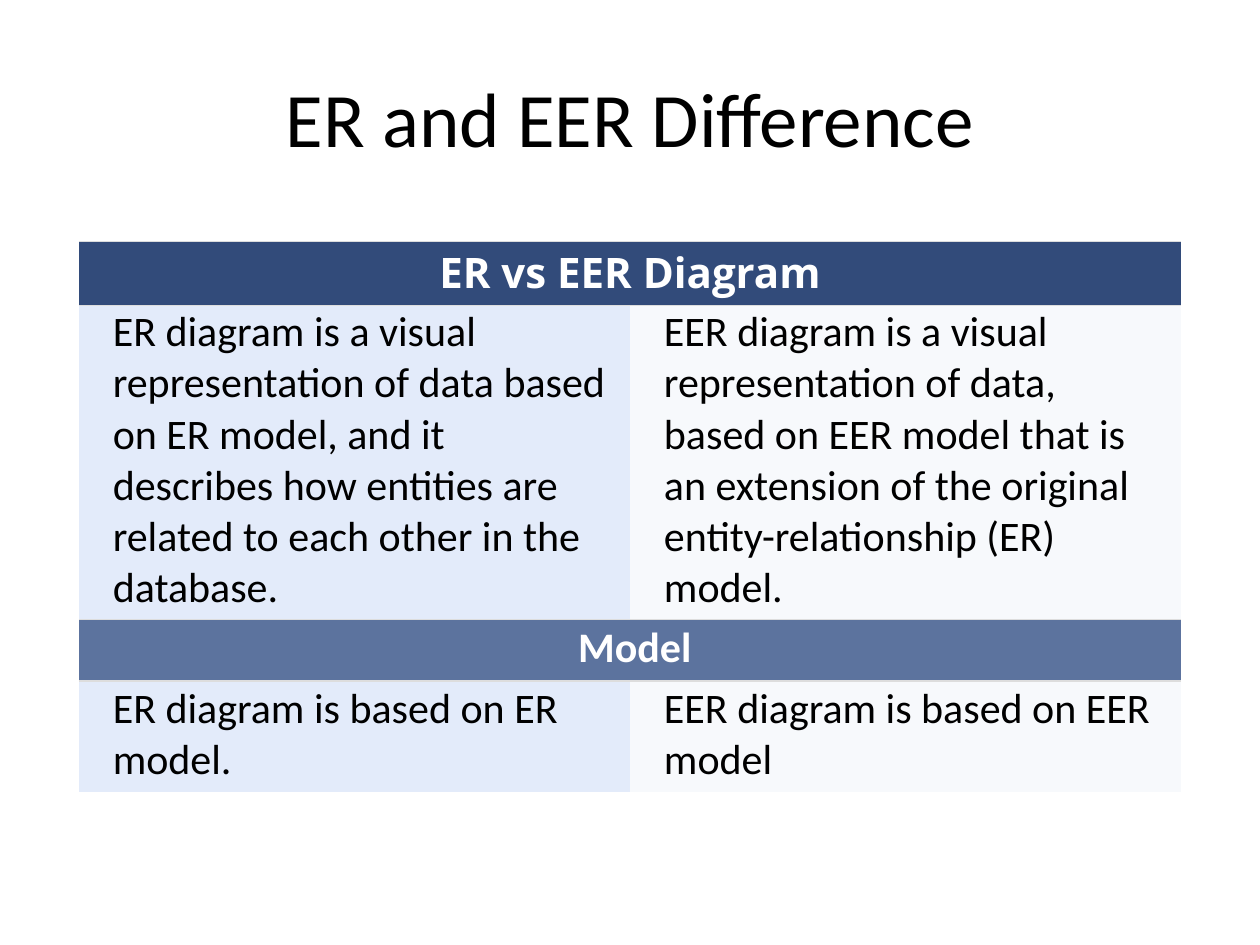
from lxml import etree
from pptx import Presentation
from pptx.dml.color import RGBColor
from pptx.enum.text import MSO_ANCHOR, PP_ALIGN
from pptx.oxml.ns import qn
from pptx.util import Inches, Pt

MIDDLE = MSO_ANCHOR.MIDDLE
CENTER, LEFT = PP_ALIGN.CENTER, PP_ALIGN.LEFT
BLACK, WHITE, GREY = "000000", "FFFFFF", "DDDDDD"
PALE, LIGHT = "E3EBFA", "F7F9FC"
WIDTH = 4.375
HEIGHTS = [0.49, 2.49, 0.49, 0.88]

HEADS = {
    0: ("ER vs EER Diagram", "324B7A", "Open Sans"),
    2: (" Model", "5C739E", "Calibri"),
}
PAIRS = {
    1: (
        "ER diagram is a visual representation of data based on ER model, "
        "and it describes how entities are related to each other in the database.",
        "EER diagram is a visual representation of data, based on EER model "
        "that is an extension of the original entity-relationship (ER) model.",
    ),
    3: ("ER diagram is based on ER model.", "EER diagram is based on EER model"),
}


def color(code):
    """Turn a hex string into a colour."""
    return RGBColor.from_string(code)


def style(para, size, face, code, bold, align):
    """Set the font and alignment of a paragraph."""
    para.alignment = align
    font = para.font
    font.size, font.name, font.bold = Pt(size), face, bold
    font.color.rgb = color(code)


def add_title(slide, text):
    """Fill and place the title."""
    title = slide.shapes.title
    title.left, title.top = Inches(0.5), Inches(0.3)
    title.width, title.height = Inches(9), Inches(1.25)
    frame = title.text_frame
    frame.text = text
    frame.vertical_anchor = MIDDLE
    style(frame.paragraphs[0], 44, "Calibri", BLACK, False, CENTER)


def set_edges(cell, shown):
    """Draw grey lines on the shown sides and none on the others."""
    props = cell._tc.get_or_add_tcPr()
    for side in "LRTB":
        line = etree.SubElement(props, qn(f"a:ln{side}"), w=str(Pt(0.75)))
        if side in shown:
            fill = etree.SubElement(line, qn("a:solidFill"))
            etree.SubElement(fill, qn("a:srgbClr"), val=GREY)
        else:
            etree.SubElement(line, qn("a:noFill"))


def fill_cell(cell, text, back, face, code, bold, align, left):
    """Write one cell with its fill, margins and font."""
    cell.fill.solid()
    cell.fill.fore_color.rgb = color(back)
    cell.vertical_anchor = MIDDLE
    cell.margin_left, cell.margin_right = Inches(left), Inches(0.18)
    cell.margin_top, cell.margin_bottom = Inches(0.01), Inches(0.04)
    cell.text = text
    style(cell.text_frame.paragraphs[0], 24, face, code, bold, align)


def add_grid(slide):
    """Add the table that compares both diagrams."""
    count = len(HEIGHTS)
    table = slide.shapes.add_table(
        count, 2, Inches(0.625), Inches(1.92), Inches(2 * WIDTH), Inches(sum(HEIGHTS))
    ).table
    for col in table.columns:
        col.width = Inches(WIDTH)
    for row, height in enumerate(HEIGHTS):
        table.rows[row].height = Inches(height)
        for col in range(2):
            set_edges(table.cell(row, col), "T" if row == count - 1 else "TB")
    for row, (text, back, face) in HEADS.items():
        cell = table.cell(row, 0)
        cell.merge(table.cell(row, 1))
        fill_cell(cell, text, back, face, WHITE, True, CENTER, 0.18)
    for row, pair in PAIRS.items():
        for col, (text, back) in enumerate(zip(pair, (PALE, LIGHT))):
            cell = table.cell(row, col)
            fill_cell(cell, text, back, "Calibri", BLACK, False, LEFT, 0.27)


def main():
    """Build and save the slide."""
    deck = Presentation()
    deck.slide_width, deck.slide_height = Inches(10), Inches(7.5)
    slide = deck.slides.add_slide(deck.slide_layouts[5])
    add_title(slide, "ER and EER Difference")
    add_grid(slide)
    deck.save("out.pptx")


if __name__ == "__main__":
    main()
